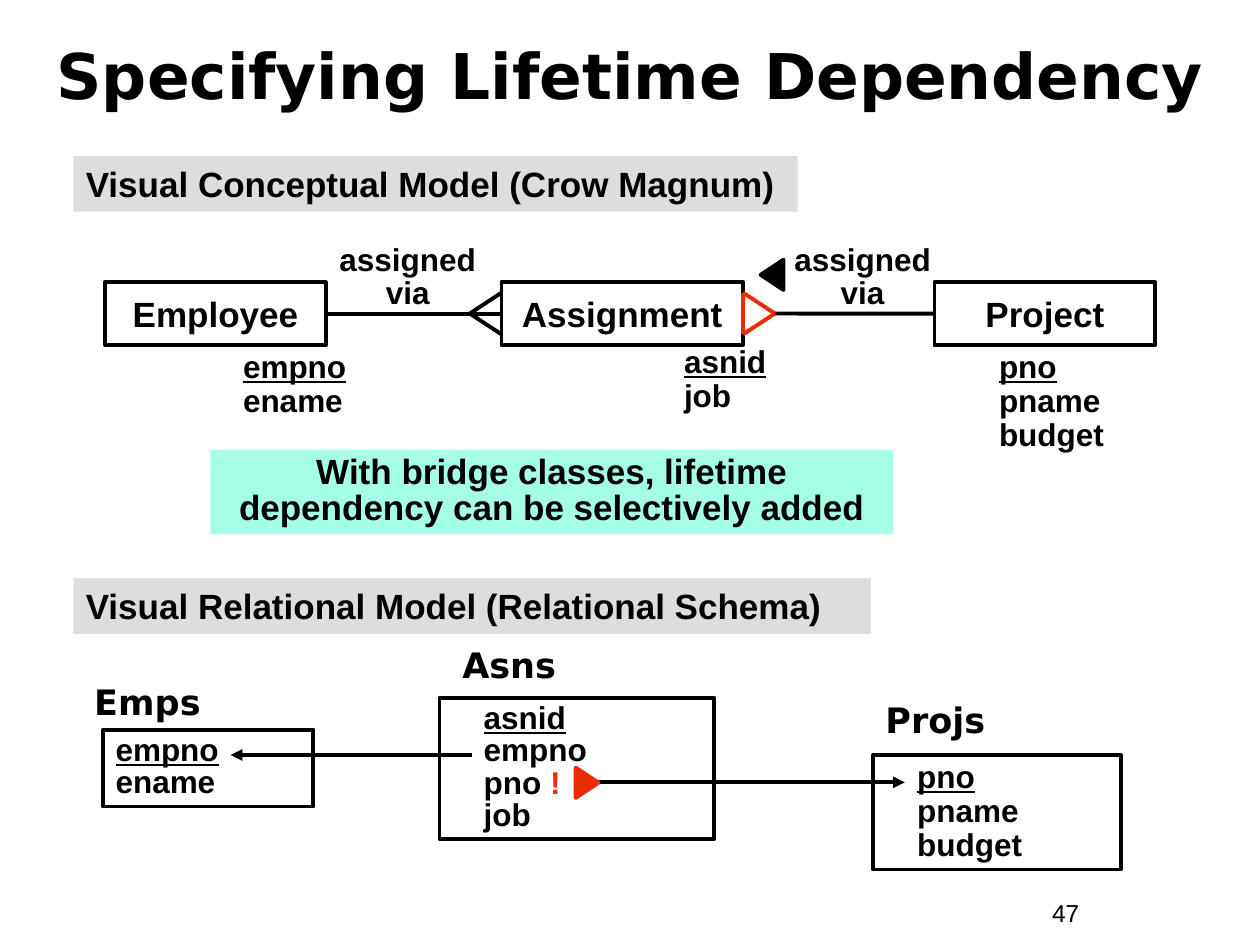
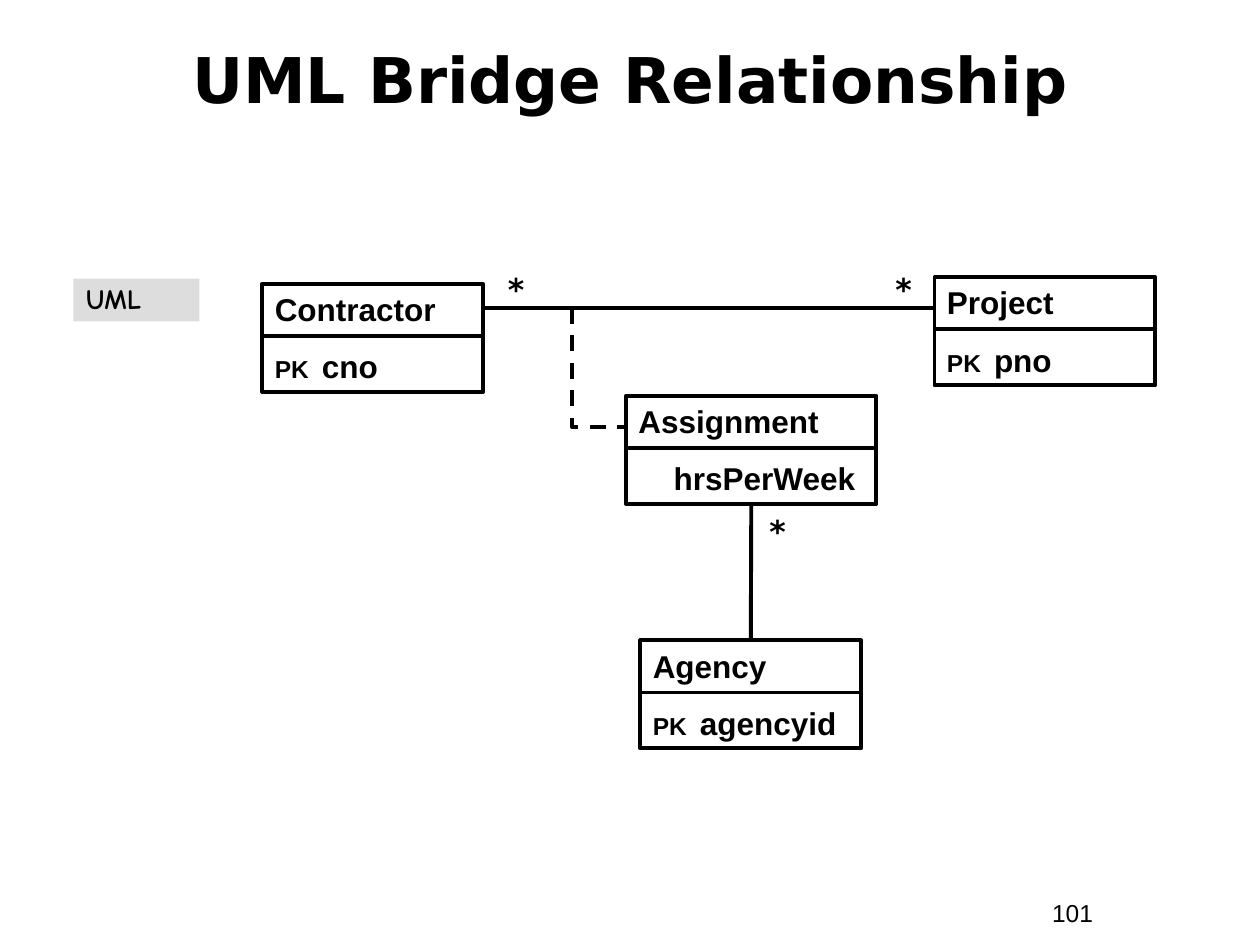
from dataclasses import dataclass

from lxml.etree import SubElement
from pptx import Presentation
from pptx.dml.color import RGBColor
from pptx.enum.dml import MSO_LINE
from pptx.enum.shapes import MSO_CONNECTOR, MSO_SHAPE
from pptx.enum.text import MSO_ANCHOR, MSO_AUTO_SIZE, PP_ALIGN
from pptx.oxml.ns import qn
from pptx.util import Cm, Pt

BLACK = RGBColor(0x00, 0x00, 0x00)
RED = RGBColor(0xEA, 0x2D, 0x00)
GREY = RGBColor(0xDD, 0xDD, 0xDD)
MINT = RGBColor(0xA5, 0xFF, 0xE7)

BODY_FONT = "Arial"
HEAD_FONT = "DejaVu Sans"
HAND_FONT = "Comic Neue"
STROKE = Pt(2.25)
TOP, LEFT, BOTTOM, RIGHT = range(4)  # connection sites of a rectangle


@dataclass
class Box:
    """An area in centimetres."""
    left: float
    top: float
    width: float
    height: float

    def area(self, left, top, width, height):
        return Box(self.left + left, self.top + top, width, height)

    def point(self, x, y):
        return self.left + x, self.top + y

    def lengths(self):
        return [Cm(v) for v in (self.left, self.top, self.width, self.height)]


@dataclass
class Span:
    text: str
    size: float = 0
    color: RGBColor = BLACK
    underline: bool = False


# Text
def write(frame, lines, size=18, font=BODY_FONT, bold=True, align=PP_ALIGN.LEFT,
          leading=None, gap=0, indent=0, tab=0, anchor=MSO_ANCHOR.TOP):
    """Fill a frame; each line is a string or a list of spans."""
    frame.word_wrap = True
    frame.auto_size = MSO_AUTO_SIZE.NONE
    frame.vertical_anchor = anchor
    for number, line in enumerate(lines):
        para = frame.add_paragraph() if number else frame.paragraphs[0]
        properties = para._p.get_or_add_pPr()
        if indent:
            properties.set("marL", str(Cm(indent)))
        if tab:
            stops = SubElement(properties, qn("a:tabLst"))
            SubElement(stops, qn("a:tab"), pos=str(Cm(tab)), algn="l")
        para.alignment = align
        if leading:
            para.line_spacing = leading
        if number and gap:
            para.space_before = Pt(gap)
        for span in [Span(line)] if isinstance(line, str) else line:
            run = para.add_run()
            run.text = span.text
            run.font.size = Pt(span.size or size)
            run.font.name = font
            run.font.bold = bold
            run.font.underline = span.underline
            run.font.color.rgb = span.color


def add_text(page, box, lines, **style):
    write(page.shapes.add_textbox(*box.lengths()).text_frame, lines, **style)


def keyed(key, *others):
    """Attribute lines with the key underlined."""
    return [[Span(key, underline=True)], *others]


# Shapes and lines
def add_box(page, box, fill=None, line=None, kind=MSO_SHAPE.RECTANGLE):
    shape = page.shapes.add_shape(kind, *box.lengths())
    shape.shadow.inherit = False
    if fill is None:
        shape.fill.background()
    else:
        shape.fill.solid()
        shape.fill.fore_color.rgb = fill
    if line is None:
        shape.line.fill.background()
    else:
        shape.line.color.rgb = line
        shape.line.width = STROKE
    return shape


def add_triangle(page, box, color, rotation):
    add_box(page, box, color, color, MSO_SHAPE.ISOSCELES_TRIANGLE).rotation = rotation


def add_line(page, start=(0, 0), end=(0, 0), color=BLACK, arrow=False):
    ends = [Cm(v) for v in (*start, *end)]
    line = page.shapes.add_connector(MSO_CONNECTOR.STRAIGHT, *ends)
    line.line.color.rgb = color
    line.line.width = STROKE
    properties = line._element.spPr
    if arrow:
        SubElement(properties.find(qn("a:ln")), qn("a:tailEnd"), type="triangle")
    SubElement(properties, qn("a:effectLst"))
    return line


def add_dashed_path(page, points):
    start, *others = [(Cm(x), Cm(y)) for x, y in points]
    builder = page.shapes.build_freeform(*start)
    builder.add_line_segments(others, close=False)
    outline = builder.convert_to_shape()
    outline.shadow.inherit = False
    outline.fill.background()
    outline.line.color.rgb = BLACK
    outline.line.width = STROKE
    outline.line.dash_style = MSO_LINE.DASH


def add_crow_foot(page, tip, base_x, color, closed=False):
    y = tip[1]
    toes = [(base_x, y - 0.42), (base_x, y + 0.42)]
    for toe in toes:
        add_line(page, tip, toe, color)
    if closed:
        add_line(page, *toes, color)


# Elements shared by the slides
def add_page(deck, title, title_box, number, leading=None):
    page = deck.slides.add_slide(deck.slide_layouts[5])
    heading = page.shapes.title
    heading.left, heading.top, heading.width, heading.height = title_box.lengths()
    write(heading.text_frame, [title], size=36, font=HEAD_FONT,
          align=PP_ALIGN.CENTER, leading=leading, anchor=MSO_ANCHOR.MIDDLE)
    add_text(page, Box(20.96, 17.98, 2.34, 0.86), [number], size=14, bold=False)
    return page


def add_band(page, box, text, fill=GREY, **style):
    write(add_box(page, box, fill).text_frame, [text], **style)


# Slide 1: conceptual model
def draw_conceptual_model(page, box):
    add_band(page, box.area(0, 0, 14.6, 1.12),
             "Visual Conceptual Model (Crow Magnum)", size=20)

    entities = {}
    for name, left, width in [("Employee", 0.64, 4.45), ("Assignment", 8.63, 4.87),
                              ("Project", 17.36, 4.45)]:
        entity = add_box(page, box.area(left, 2.54, width, 1.27), line=BLACK)
        write(entity.text_frame, [name], size=20, align=PP_ALIGN.CENTER,
              anchor=MSO_ANCHOR.MIDDLE)
        entities[name] = entity

    for left, top, width, height, lines in [
            (3.17, 3.81, 3.81, 1.63, keyed("empno", "ename")),
            (12.06, 3.71, 4.45, 1.63, keyed("asnid", "job")),
            (18.41, 3.81, 4.24, 2.31, keyed("pno", "pname", "budget"))]:
        add_text(page, box.area(left, top, width, height), lines, leading=0.9)

    # Relationships
    for left in (5.05, 14.22):
        add_text(page, box.area(left, 1.69, 3.38, 1.55), ["assigned via"],
                 align=PP_ALIGN.CENTER, leading=0.85)
    add_triangle(page, box.area(13.78, 2.16, 0.61, 0.46), BLACK, 270)

    many_tip, dependent_tip = box.point(7.99, 3.17), box.point(14.14, 3.17)
    employee_link = add_line(page)
    employee_link.begin_connect(entities["Employee"], RIGHT)
    employee_link.end_connect(entities["Assignment"], LEFT)
    project_link = add_line(page, end=dependent_tip)
    project_link.begin_connect(entities["Project"], LEFT)
    add_crow_foot(page, many_tip, box.left + 8.63, BLACK)
    add_crow_foot(page, dependent_tip, box.left + 13.5, RED, closed=True)

    add_band(page, box.area(2.76, 5.92, 13.77, 1.7),
             "With bridge classes, lifetime dependency can be selectively added",
             fill=MINT, size=20, align=PP_ALIGN.CENTER, leading=0.85)


# Slide 1: relational schema
def draw_table(page, label_box, box, name, columns, leading, indent=0.64):
    add_text(page, label_box, [name], size=20, font=HEAD_FONT)
    write(add_box(page, box, line=BLACK).text_frame, columns,
          leading=leading, indent=indent)


def draw_relational_model(page, box):
    add_band(page, box.area(0, 0, 16.08, 1.12),
             "Visual Relational Model (Relational Schema)", size=20)
    draw_table(page, box.area(0.17, 1.93, 5.46, 1.12), box.area(0.6, 3.05, 4.24, 1.55),
               "Emps", keyed("empno", "ename"), 0.85, indent=0)
    draw_table(page, box.area(7.59, 1.19, 6.38, 1.12), box.area(7.38, 2.41, 5.54, 2.84),
               "Asns", keyed("asnid", "empno", [Span("pno "), Span("!", color=RED)],
                             "job"), 0.85)
    draw_table(page, box.area(16.12, 2.29, 5.46, 1.12), box.area(16.12, 3.56, 5, 2.31),
               "Projs", keyed("pno", "pname", "budget"), 0.9)

    # Foreign keys
    add_line(page, box.point(8.04, 3.56), box.point(3.17, 3.56), arrow=True)
    add_line(page, box.point(10.25, 4.11), box.point(16.76, 4.11), arrow=True)
    add_triangle(page, box.area(10.05, 3.89, 0.61, 0.46), RED, 90)


# Slide 2: class diagram
def draw_class(page, box, name, key=None, attribute=None):
    shape = add_box(page, box, line=BLACK)
    frame = shape.text_frame
    if key:
        write(frame, [name, [Span("PK", size=14), Span("\t" + key)]], gap=11.2, tab=0.95)
    else:
        write(frame, [name, attribute], gap=11.2)
        frame.paragraphs[1]._p.get_or_add_pPr().set("marL", str(Cm(0.71)))
    add_line(page, box.point(0, 1.05), box.point(box.width, 1.05))
    return shape


def draw_class_diagram(page, box):
    add_band(page, box.area(0, 0.03, 2.54, 0.86), "UML", size=16, font=HAND_FONT,
             leading=0.9)
    draw_class(page, box.area(3.81, 0.13, 4.45, 2.18), "Contractor", key="cno")
    draw_class(page, box.area(17.36, 0, 4.45, 2.18), "Project", key="pno")
    assignment = draw_class(page, box.area(11.14, 2.39, 5.05, 2.18), "Assignment",
                            attribute="hrsPerWeek")
    agency = draw_class(page, box.area(11.43, 7.32, 4.45, 2.18), "Agency",
                        key="agencyid")

    # Associations
    add_line(page, box.point(8.26, 0.62), box.point(17.36, 0.62))
    add_dashed_path(page, [box.point(10.05, 0.62), box.point(10.05, 3.02),
                           box.point(11.14, 3.02)])
    agency_link = add_line(page)
    agency_link.begin_connect(assignment, BOTTOM)
    agency_link.end_connect(agency, TOP)
    for left, top, width in [(7.87, -0.18, 2.11), (16.1, -0.18, 1.27),
                             (13.56, 4.7, 1.27)]:
        add_text(page, box.area(left, top, width, 0.94), ["*"], font=HEAD_FONT,
                 align=PP_ALIGN.CENTER, leading=0.9)


def main():
    deck = Presentation()
    deck.slide_width, deck.slide_height = Cm(25.4), Cm(19.05)

    page = add_page(deck, "Specifying Lifetime Dependency",
                    Box(0.85, 0.33, 23.7, 2.34), "47")
    draw_conceptual_model(page, Box(1.48, 3.15, 21.81, 7.62))
    draw_relational_model(page, Box(1.48, 11.66, 21.12, 5.87))

    page = add_page(deck, "UML Bridge Relationship",
                    Box(0.42, 0.85, 24.56, 1.7), "101", leading=0.85)
    draw_class_diagram(page, Box(1.48, 5.59, 21.81, 9.5))

    deck.save("out.pptx")


if __name__ == "__main__":
    main()
